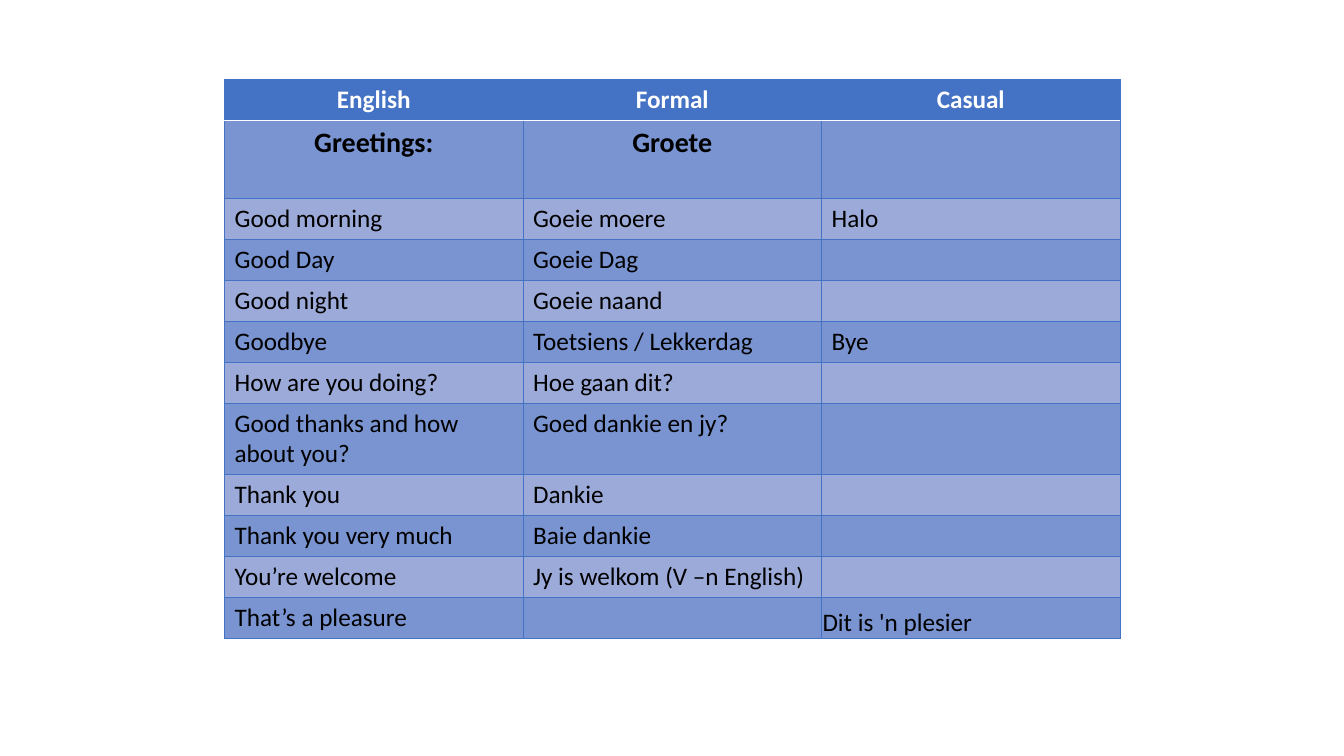
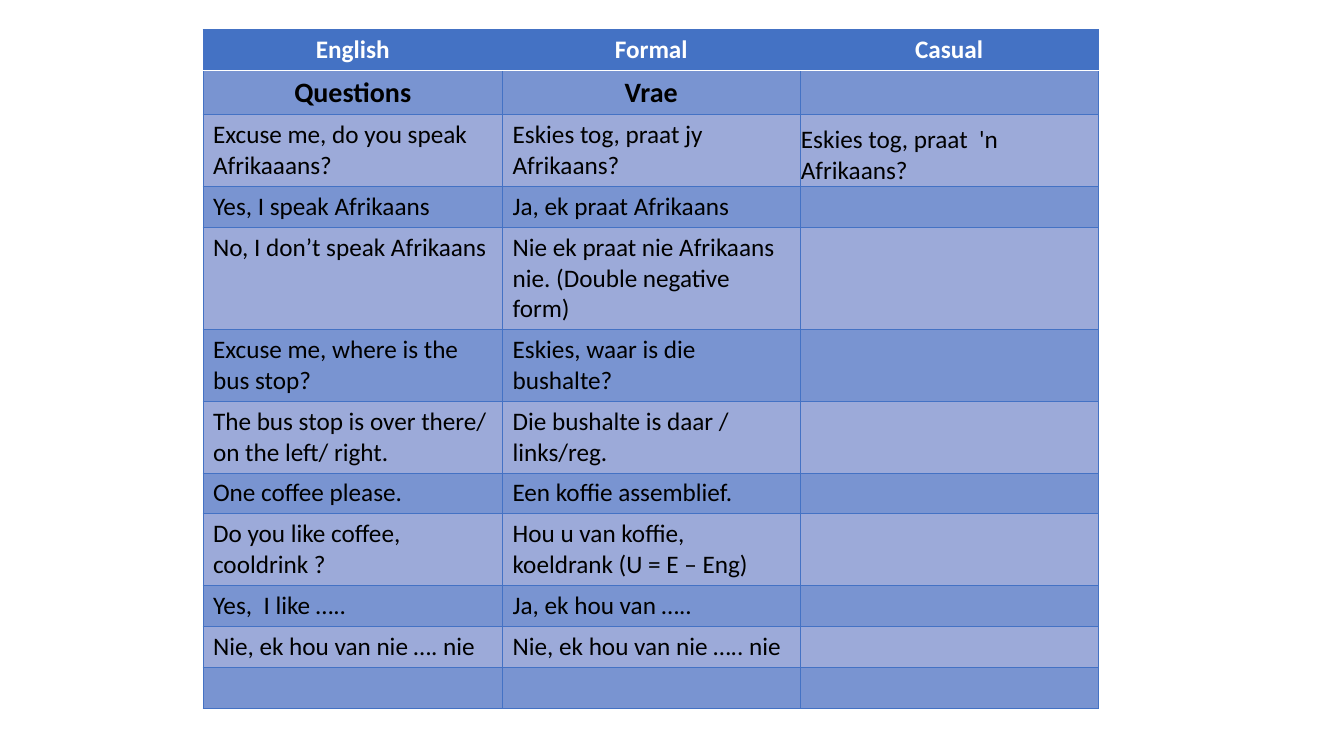
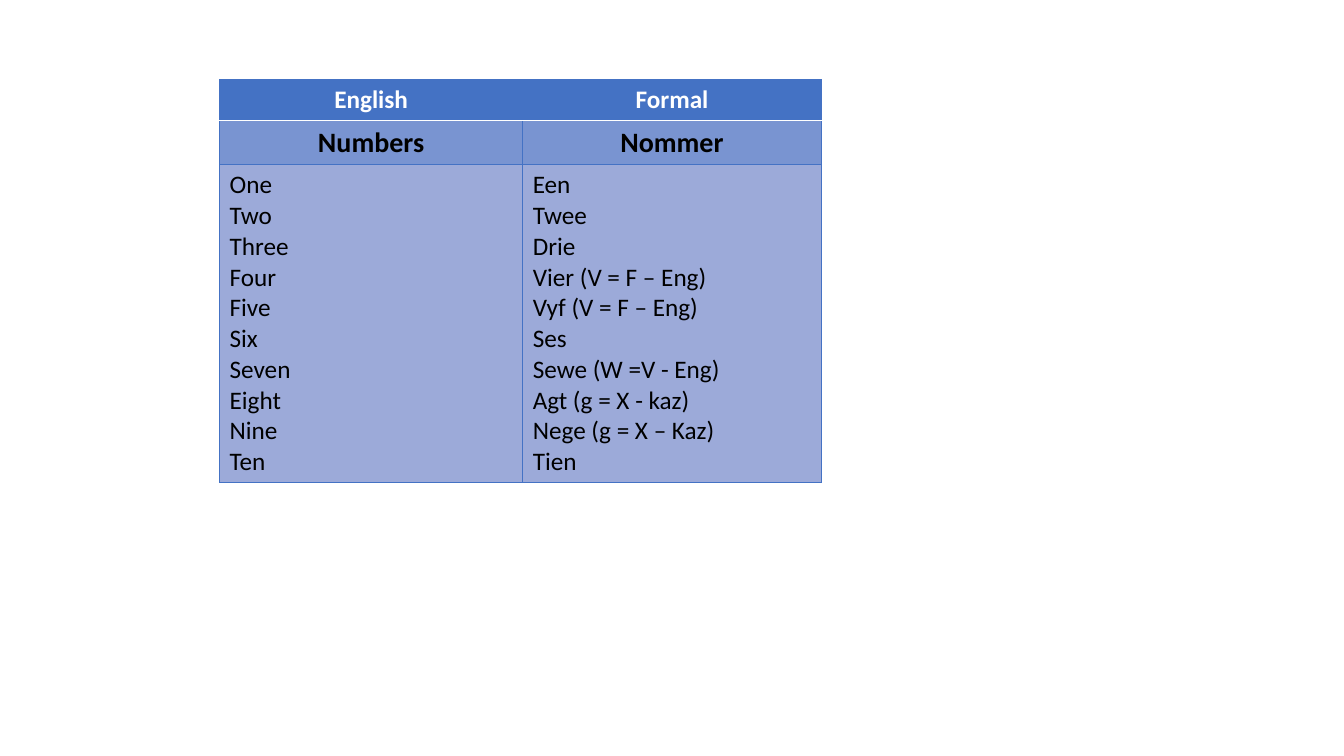
from dataclasses import dataclass

from lxml import etree
from pptx import Presentation
from pptx.dml.color import RGBColor
from pptx.enum.text import MSO_ANCHOR, PP_ALIGN
from pptx.oxml.ns import qn
from pptx.util import Pt

LEFT, CENTER = PP_ALIGN.LEFT, PP_ALIGN.CENTER
TOP, BOTTOM = MSO_ANCHOR.TOP, MSO_ANCHOR.BOTTOM
BLANK_LAYOUT = 6


@dataclass(frozen=True)
class Theme:
    font: str = "Calibri"
    header_fill: str = "4472C4"
    dark_band: str = "7994D1"
    light_band: str = "9CAAD9"
    border: str = "4472C4"
    header_rule: str = "FFFFFF"
    header_text: str = "FFFFFF"
    body_text: str = "000000"
    body_size: int = 18
    section_size: int = 20
    border_width: float = 0.5
    rule_width: float = 1
    cell_padding: float = 7.2
    tight_margin: float = 0.72
    line_height: float = 1.22


def write(cell, text, *, font, size, color, bold=False, align=LEFT):
    """Fill a cell with one paragraph per line of text."""
    frame = cell.text_frame
    for index, line in enumerate(text.split("\n")):
        paragraph = frame.add_paragraph() if index else frame.paragraphs[0]
        paragraph.alignment = align
        paragraph.font.size = Pt(size)
        if line:
            run = paragraph.add_run()
            run.text = line
            run.font.name = font
            run.font.size = Pt(size)
            run.font.bold = bold
            run.font.color.rgb = RGBColor.from_string(color)


def set_borders(cell, borders):
    """Draw borders given as (side, colour, width), in the order L, R, T, B."""
    properties = cell._tc.get_or_add_tcPr()
    for index, (side, color, width) in enumerate(borders):
        line = etree.Element(qn(f"a:ln{side}"), w=str(Pt(width)))
        fill = etree.SubElement(line, qn("a:solidFill"))
        etree.SubElement(fill, qn("a:srgbClr"), val=color)
        properties.insert(index, line)


class Deck:
    def __init__(self, theme):
        self.theme = theme
        self.presentation = Presentation()
        self.presentation.slide_width = Pt(960)
        self.presentation.slide_height = Pt(540)
        self.slide = None

    def add_slide(self):
        layout = self.presentation.slide_layouts[BLANK_LAYOUT]
        self.slide = self.presentation.slides.add_slide(layout)

    def row_height(self, row, lines):
        theme = self.theme
        size = theme.section_size if row == 1 else theme.body_size
        return round(theme.cell_padding + lines * size * theme.line_height, 1)

    def phrase_table(self, left, top, widths, rows, tall_rows, bottom_cells=()):
        """tall_rows maps a row to its line count; bottom_cells sit low and tight."""
        heights = [self.row_height(row, tall_rows.get(row, 1))
                   for row in range(len(rows))]
        table = self.slide.shapes.add_table(
            len(rows), len(widths), Pt(left), Pt(top),
            Pt(sum(widths)), Pt(sum(heights))).table
        table.horz_banding = False
        for column, width in zip(table.columns, widths):
            column.width = Pt(width)
        for row, (height, texts) in enumerate(zip(heights, rows)):
            table.rows[row].height = Pt(height)
            for column, text in enumerate(texts):
                cell = table.cell(row, column)
                self.style_cell(cell, row, column, len(widths))
                self.write_cell(cell, row, text)
                if (row, column) in bottom_cells:
                    self.tighten(cell)

    def style_cell(self, cell, row, column, column_count):
        theme = self.theme
        band = theme.dark_band if row % 2 else theme.light_band
        cell.fill.solid()
        cell.fill.fore_color.rgb = RGBColor.from_string(
            band if row else theme.header_fill)
        cell.vertical_anchor = TOP
        thin = (theme.border, theme.border_width)
        rule = (theme.header_rule, theme.rule_width)
        set_borders(cell, [
            ("L", *thin), ("R", *thin),
            ("T", *(rule if row == 1 else thin)),
            ("B", *(rule if row == 0 else thin))])

    def write_cell(self, cell, row, text):
        theme = self.theme
        heading = row < 2
        write(cell, text, font=theme.font,
              size=theme.section_size if row == 1 else theme.body_size,
              color=theme.body_text if row else theme.header_text,
              bold=heading, align=CENTER if heading else LEFT)

    def tighten(self, cell):
        margin = Pt(self.theme.tight_margin)
        cell.margin_left = cell.margin_right = cell.margin_top = margin
        cell.margin_bottom = 0
        cell.vertical_anchor = BOTTOM


HEADER = ("English", "Formal", "Casual")

GREETINGS = [
    HEADER,
    ("Greetings:", "Groete", ""),
    ("Good morning", "Goeie moere", "Halo"),
    ("Good Day", "Goeie Dag", ""),
    ("Good night", "Goeie naand", ""),
    ("Goodbye", "Toetsiens / Lekkerdag", "Bye"),
    ("How are you doing?", "Hoe gaan dit?", ""),
    ("Good thanks and how about you?", "Goed dankie en jy?", ""),
    ("Thank you", "Dankie", ""),
    ("Thank you very much", "Baie dankie", ""),
    ("You’re welcome", "Jy is welkom (V –n English)", ""),
    ("That’s a pleasure", "", "Dit is 'n plesier"),
]

QUESTIONS = [
    HEADER,
    ("Questions", "Vrae", ""),
    ("Excuse me, do you speak Afrikaaans?", "Eskies tog, praat jy  Afrikaans?",
     "Eskies tog, praat  'n Afrikaans?"),
    ("Yes, I speak Afrikaans", "Ja, ek praat Afrikaans", ""),
    ("No, I don’t speak Afrikaans",
     "Nie ek praat nie Afrikaans nie. (Double negative form)", ""),
    ("Excuse me, where is the bus stop?", "Eskies, waar is die bushalte?", ""),
    ("The bus stop is over there/ on the left/ right.",
     "Die bushalte is daar / links/reg.", ""),
    ("One coffee please.", "Een koffie assemblief.", ""),
    ("Do you like coffee, cooldrink ?",
     "Hou u van koffie, koeldrank (U = E – Eng)", ""),
    ("Yes,  I like …..", "Ja, ek hou van …..", ""),
    ("Nie, ek hou van nie …. nie", "Nie, ek hou van nie ….. nie", ""),
    ("", "", ""),
]

NUMBERS = [
    ("One", "Een"),
    ("Two", "Twee"),
    ("Three", "Drie"),
    ("Four", "Vier (V = F – Eng)"),
    ("Five", "Vyf (V = F – Eng)"),
    ("Six", "Ses"),
    ("Seven", "Sewe (W =V - Eng)"),
    ("Eight", "Agt (g = X - kaz)"),
    ("Nine", "Nege (g = X – Kaz)"),
    ("Ten", "Tien"),
]


def main():
    deck = Deck(Theme())

    # Greetings
    deck.add_slide()
    deck.phrase_table(160.4, 56.8, [213.2] * 3, GREETINGS,
                      tall_rows={1: 2, 7: 2}, bottom_cells={(11, 2)})

    # Questions
    deck.add_slide()
    deck.phrase_table(145, 21, [214, 212.4, 213.2], QUESTIONS,
                      tall_rows={2: 2, 4: 3, 5: 2, 6: 2, 8: 2},
                      bottom_cells={(2, 2)})

    # Numbers
    deck.add_slide()
    number_lists = ["\n".join(words) for words in zip(*NUMBERS)]
    deck.phrase_table(156.8, 56.8, [216.6, 213.2],
                      [HEADER[:2], ("Numbers", "Nommer"), number_lists],
                      tall_rows={2: len(NUMBERS)})

    deck.presentation.save("out.pptx")


if __name__ == "__main__":
    main()
